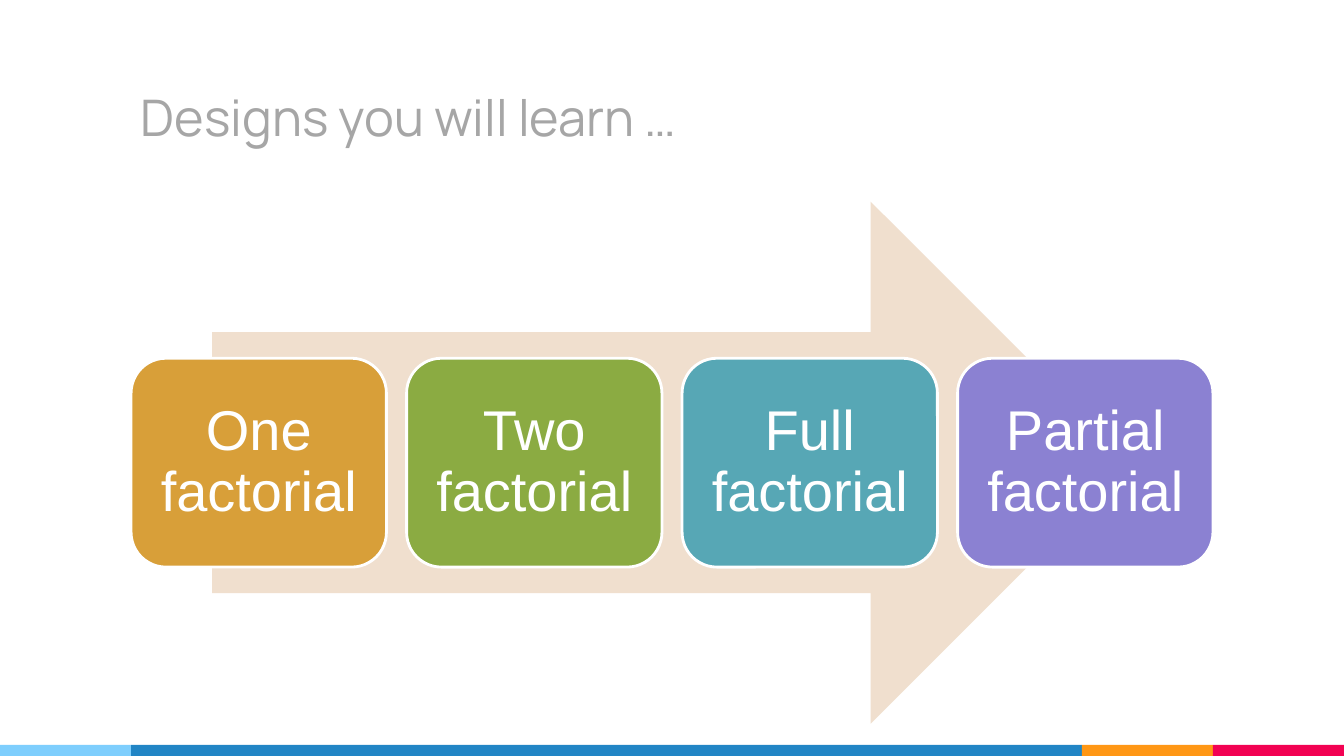
from pptx import Presentation
from pptx.dml.color import RGBColor
from pptx.enum.shapes import MSO_SHAPE
from pptx.enum.text import MSO_ANCHOR, PP_ALIGN
from pptx.util import Inches, Pt

RECT = MSO_SHAPE.RECTANGLE
ROUNDED = MSO_SHAPE.ROUNDED_RECTANGLE
ARROW = MSO_SHAPE.RIGHT_ARROW
MIDDLE, BOTTOM = MSO_ANCHOR.MIDDLE, MSO_ANCHOR.BOTTOM
LEFT, CENTER = PP_ALIGN.LEFT, PP_ALIGN.CENTER

SLIDE_W, SLIDE_H = 13.33, 7.5
MARGIN = 1.3
CONTENT_W = SLIDE_W - 2 * MARGIN
DESIGNS = [
    ("One factorial", "D89F39"),
    ("Two factorial", "8BAB42"),
    ("Full factorial", "57A7B5"),
    ("Partial factorial", "8B81D2"),
]


def color(hex_string):
    return RGBColor.from_string(hex_string)


def add_block(slide, preset, box, fill, line=None):
    block = slide.shapes.add_shape(preset, *map(Inches, box))
    block.shadow.inherit = False
    block.fill.solid()
    block.fill.fore_color.rgb = color(fill)
    if line:
        block.line.color.rgb = color(line)
        block.line.width = Pt(2)
    else:
        block.line.fill.background()
    return block


def write(holder, text, *, font, size, ink, align=LEFT, anchor=MIDDLE,
          inset=0.1, spacing=1.0):
    frame = holder.text_frame
    frame.word_wrap = True
    frame.vertical_anchor = anchor
    frame.margin_left = frame.margin_right = Inches(inset)
    frame.margin_top = frame.margin_bottom = Inches(inset)
    paragraph = frame.paragraphs[0]
    paragraph.alignment = align
    paragraph.line_spacing = spacing
    run = paragraph.add_run()
    run.text = text
    run.font.name = font
    run.font.size = Pt(size)
    run.font.color.rgb = color(ink)


def draw_footer(slide, left, top, width, height):
    middle = width - 3 * MARGIN
    bands = [(MARGIN, "7ECEFD"), (middle, "2185C5"),
             (MARGIN, "FF9715"), (MARGIN, "F20253")]
    for band_width, fill in bands:
        add_block(slide, RECT, (left, top, band_width, height), fill)
        left += band_width


def draw_title(slide, left, top, width, height):
    title = slide.shapes.add_textbox(*map(Inches, (left, top, width, height)))
    write(title, "Designs you will learn …", font="Manrope", size=36,
          ink="A6A6A6", anchor=BOTTOM)


def draw_process(slide, left, top, width, height):
    arrow_w = 0.85 * width
    arrow_left = left + 0.075 * width
    add_block(slide, ARROW, (arrow_left, top, arrow_w, height), "F0DFCE")

    gap = 0.2
    step_w = (width - gap * (len(DESIGNS) - 1)) / len(DESIGNS)
    step_h = 0.4 * height
    step_top = top + (height - step_h) / 2
    for index, (design, fill) in enumerate(DESIGNS):
        step_left = left + index * (step_w + gap)
        step = add_block(slide, ROUNDED, (step_left, step_top, step_w, step_h),
                         fill, line="FFFFFF")
        write(step, design, font="Arial", size=40, ink="FFFFFF",
              align=CENTER, inset=0.17, spacing=0.9)


def main():
    deck = Presentation()
    deck.slide_width, deck.slide_height = Inches(SLIDE_W), Inches(SLIDE_H)
    slide = deck.slides.add_slide(deck.slide_layouts[6])
    footer_h = 0.11
    draw_footer(slide, 0, SLIDE_H - footer_h, SLIDE_W, footer_h)
    draw_title(slide, MARGIN, 0.3, CONTENT_W - MARGIN, 1.25)
    draw_process(slide, MARGIN, 2, CONTENT_W, 5.18)
    deck.save("out.pptx")


if __name__ == "__main__":
    main()
